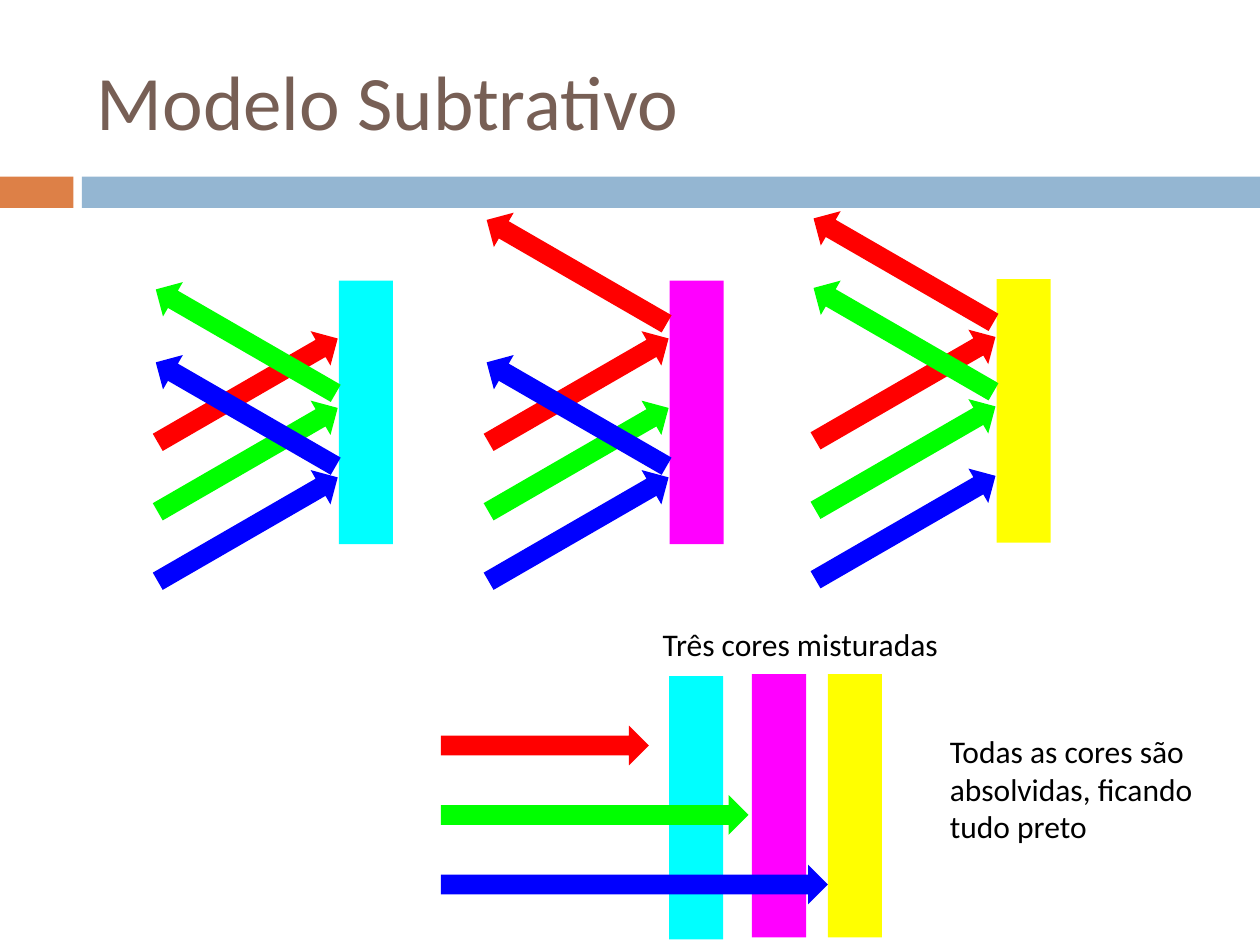
"""Build the slide on the subtractive colour model."""
import pptx
import pptx.dml.color
import pptx.enum.shapes
import pptx.enum.text
import pptx.util

Cm = pptx.util.Cm
RECTANGLE = pptx.enum.shapes.MSO_SHAPE.RECTANGLE
ARROW = pptx.enum.shapes.MSO_SHAPE.RIGHT_ARROW
COLORS = {
    "red": "FF0000", "green": "00FF00", "blue": "0000FF",
    "cyan": "00FFFF", "magenta": "FF00FF", "yellow": "FFFF00",
    "orange": "DD8047", "sky": "94B6D2", "brown": "775F55", "black": "000000",
}
BAR_WIDTH, BAR_HEIGHT = 1.09, 5.31
ARROW_LENGTH, ARROW_HEIGHT = 4.19, 0.8
ARROW_STEP = 1.4
LIGHTS = ["red", "green", "blue"]

presentation = pptx.Presentation()
presentation.slide_width = Cm(25.4)
presentation.slide_height = Cm(19.05)
slide = presentation.slides.add_slide(presentation.slide_layouts[6])


def add_block(kind, color, left, top, width, height, rotation=0):
    shape = slide.shapes.add_shape(kind, Cm(left), Cm(top), Cm(width), Cm(height))
    shape.shadow.inherit = False
    shape.fill.solid()
    shape.fill.fore_color.rgb = pptx.dml.color.RGBColor.from_string(COLORS[color])
    shape.line.fill.background()
    shape.rotation = rotation


def add_text(text, left, top, width, height, size, color, wrap=True):
    shape = slide.shapes.add_textbox(Cm(left), Cm(top), Cm(width), Cm(height))
    frame = shape.text_frame
    frame.word_wrap = wrap
    run = frame.paragraphs[0].add_run()
    run.text = text
    run.font.name = "Calibri"
    run.font.size = pptx.util.Pt(size)
    run.font.color.rgb = pptx.dml.color.RGBColor.from_string(COLORS[color])
    return frame


add_block(RECTANGLE, "orange", 0, 3.56, 1.48, 0.63)
add_block(RECTANGLE, "sky", 1.65, 3.56, 23.75, 0.63)
title = add_text("Modelo Subtrativo", 1.7, 0.63, 22.66, 2.75, 44, "brown")
title.vertical_anchor = pptx.enum.text.MSO_ANCHOR.MIDDLE

reflected_offsets = {"red": -0.58, "green": 0.82, "blue": 2.29}
panels = [
    ("cyan", 2.9, 5.66, ["green", "blue"]),
    ("magenta", 9.57, 5.66, ["blue", "red"]),
    ("yellow", 16.16, 5.63, ["green", "red"]),
]
for pigment, left, top, reflected in panels:
    for index, light in enumerate(LIGHTS):
        add_block(ARROW, light, left, top + 1.81 + index * ARROW_STEP,
                  ARROW_LENGTH, ARROW_HEIGHT, 330)
    add_block(RECTANGLE, pigment, left + 3.93, top, BAR_WIDTH, BAR_HEIGHT)
    for light in reflected:
        add_block(ARROW, light, left - 0.04, top + reflected_offsets[light],
                  ARROW_LENGTH, ARROW_HEIGHT, 210)

for pigment, left, top in [("cyan", 13.49, 13.63), ("magenta", 15.16, 13.59),
                           ("yellow", 16.69, 13.59)]:
    add_block(RECTANGLE, pigment, left, top, BAR_WIDTH, BAR_HEIGHT)
for index, (light, length) in enumerate(zip(LIGHTS, [ARROW_LENGTH, 6.2, 7.8])):
    add_block(ARROW, light, 8.89, 14.63 + index * ARROW_STEP, length, ARROW_HEIGHT)

add_text("Três cores misturadas", 13.11, 12.47, 7.01, 1.02, 18, "black", wrap=False)
add_text("Todas as cores são absolvidas, ficando tudo preto",
         18.9, 14.63, 5.79, 2.57, 18, "black")

presentation.save("out.pptx")
